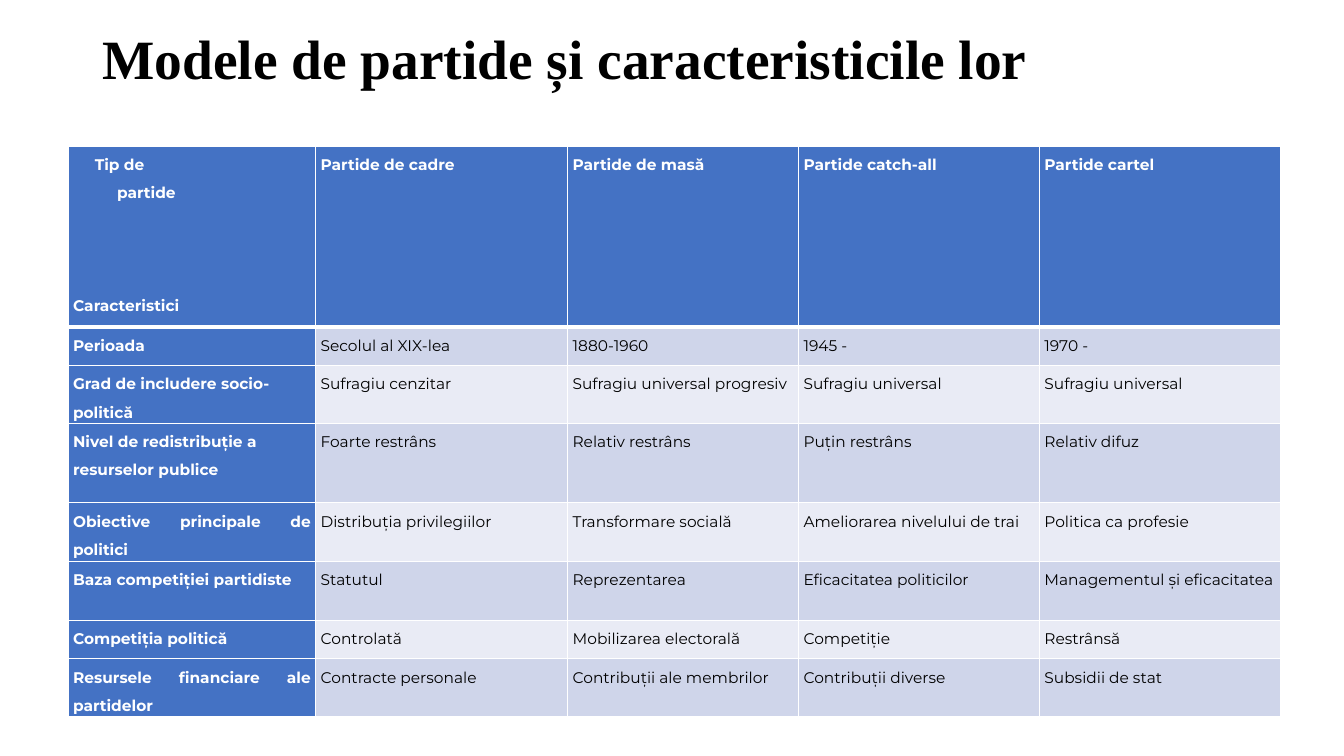
from lxml.etree import SubElement
from pptx import Presentation
from pptx.dml.color import RGBColor
from pptx.enum.text import MSO_ANCHOR, PP_ALIGN
from pptx.oxml.ns import qn
from pptx.util import Cm, Pt

WHITE, BLACK, BLUE = "FFFFFF", "000000", "4472C4"
BANDS = ["E9EBF5", "CFD5EA"]


def rgb(color):
    return RGBColor.from_string(color)


def add_border(cell, side, width):
    """Draw a white line on one side of the cell: L, R, T or B."""
    ln = SubElement(cell._tc.get_or_add_tcPr(), qn(f"a:ln{side}"), w=str(Pt(width)))
    fill = SubElement(ln, qn("a:solidFill"))
    SubElement(fill, qn("a:srgbClr"), val=WHITE)


prs = Presentation()
prs.slide_width, prs.slide_height = Cm(33.87), Cm(19.05)
s = prs.slides.add_slide(prs.slide_layouts[6])

# Title
title = s.shapes.add_textbox(Cm(2.33), Cm(0.91), Cm(29.21), Cm(1.27))
tf = title.text_frame
tf.word_wrap = True
tf.vertical_anchor = MSO_ANCHOR.MIDDLE
tf.margin_top = tf.margin_bottom = 0
tf.text = "Modele de partide și caracteristicile lor"
p = tf.paragraphs[0]
p.line_spacing = 0.9
font = p.runs[0].font
font.name, font.size, font.bold = "Times New Roman", Pt(39.6), True
font.color.rgb = rgb(BLACK)

# Table of party models
rows = [
    ["Tip de\npartide\nCaracteristici", "Partide de cadre", "Partide de masă",
     "Partide catch-all", "Partide cartel"],
    ["Perioada", "Secolul al XIX-lea", "1880-1960", "1945 -", "1970 -"],
    ["Grad de includere socio-politică", "Sufragiu cenzitar",
     "Sufragiu universal progresiv", "Sufragiu universal", "Sufragiu universal"],
    ["Nivel de redistribuție a resurselor publice", "Foarte restrâns",
     "Relativ restrâns", "Puțin restrâns", "Relativ difuz"],
    ["Obiective principale de politici", "Distribuția privilegiilor",
     "Transformare socială", "Ameliorarea nivelului de trai", "Politica ca profesie"],
    ["Baza competiției partidiste", "Statutul", "Reprezentarea",
     "Eficacitatea politicilor", "Managementul și eficacitatea"],
    ["Competiția politică", "Controlată", "Mobilizarea electorală",
     "Competiție", "Restrânsă"],
    ["Resursele financiare ale partidelor", "Contracte personale",
     "Contribuții ale membrilor", "Contribuții diverse", "Subsidii de stat"],
]
col_widths = [6.24, 6.35, 5.82, 6.07, 6.07]
row_heights = [4.56, 0.97, 1.46, 2, 1.48, 1.48, 0.97, 1.47]
left_aligned = {(1, 0), (2, 0), (3, 0), (4, 3), (4, 4)}

table = s.shapes.add_table(len(rows), len(col_widths), Cm(1.72), Cm(3.68),
                           Cm(sum(col_widths)), Cm(sum(row_heights))).table
for column, width in zip(table.columns, col_widths):
    column.width = Cm(width)
for row, height in zip(table.rows, row_heights):
    row.height = Cm(height)

for i, texts in enumerate(rows):
    for j, text in enumerate(texts):
        cell = table.cell(i, j)
        is_heading = i == 0 or j == 0
        add_border(cell, "L", 1)
        add_border(cell, "R", 1)
        add_border(cell, "T", 3 if i == 1 else 1)
        add_border(cell, "B", 3 if i == 0 else 1)
        cell.fill.solid()
        cell.fill.fore_color.rgb = rgb(BLUE if is_heading else BANDS[i % 2])
        cell.margin_left = cell.margin_right = Cm(0.12)
        cell.margin_top = cell.margin_bottom = 0
        cell.text_frame.text = text
        for p in cell.text_frame.paragraphs:
            p.alignment = PP_ALIGN.LEFT if (i, j) in left_aligned else PP_ALIGN.JUSTIFY
            p.line_spacing = 1.5
            font = p.runs[0].font
            font.name, font.size, font.bold = "Montserrat", Pt(11), is_heading
            font.color.rgb = rgb(WHITE if is_heading else BLACK)

# Stepped wording of the corner cell
type_line, party_line, features_line = table.cell(0, 0).text_frame.paragraphs
for p, indent in ((type_line, 0.55), (party_line, 1.11)):
    p._p.get_or_add_pPr().set("marL", str(Cm(indent)))
features_line.space_before = Pt(60.5)

prs.save("out.pptx")
